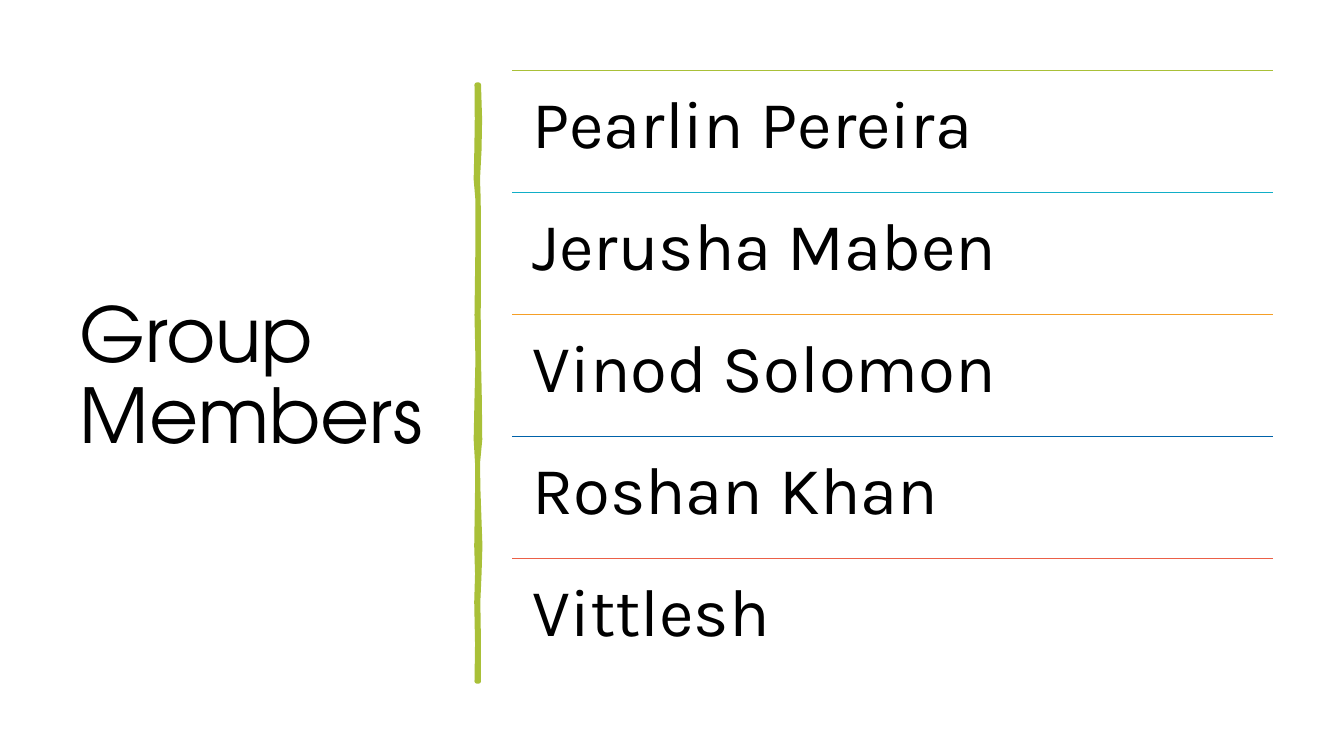
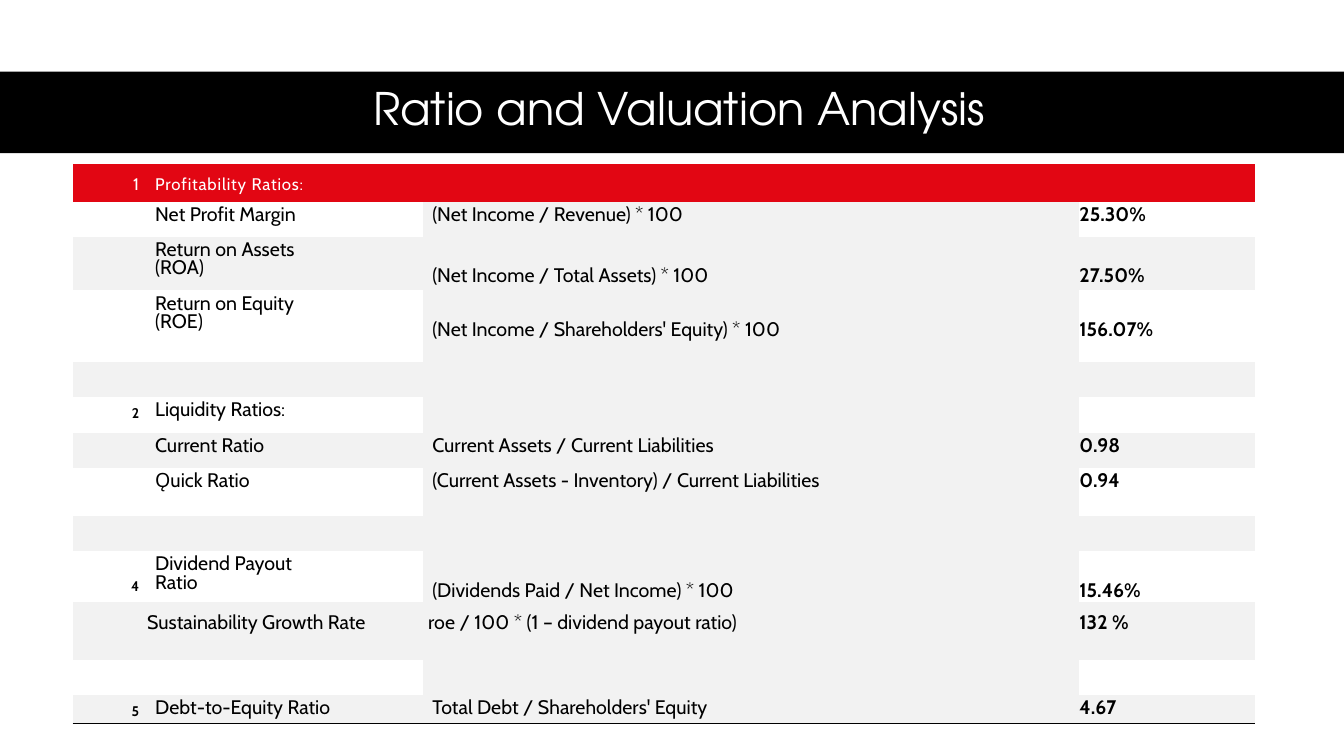
from lxml import etree
from pptx import Presentation
from pptx.dml.color import RGBColor
from pptx.enum import shapes, text
from pptx.oxml import ns
from pptx.util import Pt

COLORS = {
    "black": "000000", "white": "FFFFFF", "green": "A9C038", "teal": "11AEC7",
    "orange": "F59F26", "blue": "0062A9", "coral": "EB6047",
    "red": "E20613", "grey": "F2F2F2",
}
TITLE_FONT, NAME_FONT, TABLE_FONT = "TeX Gyre Adventor", "Karla", "Cabin"
NO_GRID_STYLE = "{2D5ABB26-0587-4C30-8999-92F81FD0307C}"

MEMBERS = [
    ("Pearlin Pereira", "green"),
    ("Jerusha Maben", "teal"),
    ("Vinod Solomon", "orange"),
    ("Roshan Khan", "blue"),
    ("Vittlesh", "coral"),
]
LIST_LEFT, LIST_TOP, LIST_WIDTH, LIST_PITCH = 365.8, 50.4, 543.6, 87.1

BRUSH_EDGES = [
    (60.5, 340.6, 342), (85, 340.8, 342.8), (107, 340.5, 342.4),
    (128, 340, 341.3), (143, 341.3, 341.8), (180, 341.2, 342),
    (225, 340.6, 341.8), (257, 341.3, 342), (285, 340.6, 342.6),
    (314, 340, 342.9), (331, 341, 341.3), (350, 341, 341.6),
    (390, 340.4, 343), (410, 341, 342.4), (430, 340.4, 341.5),
    (460, 341, 342), (486.7, 340.6, 342),
]

BLANK = ("", "", "", "")
RATIOS = [
    (26.6, ("1", "Profitability Ratios:", "", "")),
    (24.3, ("", "Net Profit Margin", "(Net Income / Revenue) * 100", "25.30%")),
    (36.4, ("", "Return on Assets\n(ROA)", "(Net Income / Total Assets) * 100", "27.50%")),
    (51.4, ("", "Return on Equity\n(ROE)", "(Net Income / Shareholders' Equity) * 100", "156.07%")),
    (24.3, BLANK),
    (24.3, ("2", "Liquidity Ratios:", "", "")),
    (24.3, ("", "Current Ratio", "Current Assets / Current Liabilities", "0.98")),
    (34.3, ("", "Ǫuick Ratio", "(Current Assets - Inventory) / Current Liabilities", "0.94")),
    (24.3, BLANK),
    (36.4, ("4", "Dividend Payout\nRatio", "(Dividends Paid / Net Income) * 100", "15.46%")),
    (41.4, ("", "Sustainability Growth Rate", "roe / 100 * (1 – dividend payout ratio)", "132 %")),
    (24.3, BLANK),
    (20, ("5", "Debt-to-Equity Ratio", "Total Debt / Shareholders' Equity", "4.67")),
    (24.3, BLANK),
]
COLUMN_WIDTHS = [52.6, 198, 468, 126]
GROWTH_ROW, TOTAL_ROW = 10, 12


def rgb(name):
    return RGBColor.from_string(COLORS[name])


def write(tf, content, size, font, color="black", bold=False, align="left",
          leading=(0.9,), spacing=0):
    tf.word_wrap = True
    for i, line in enumerate(content.split("\n")):
        p = tf.paragraphs[0] if i == 0 else tf.add_paragraph()
        p.alignment = getattr(text.PP_ALIGN, align.upper())
        step = leading[min(i, len(leading) - 1)]
        p.line_spacing = step if step < 2 else Pt(step)
        p.space_before = Pt(0)
        r = p.add_run()
        r.text = line
        r.font.size, r.font.name, r.font.bold = Pt(size), font, bold
        r.font.color.rgb = rgb(color)
        if spacing:
            r.font._element.set("spc", str(round(spacing * 100)))


def set_title(s, content, left, top, width, height, size, **fmt):
    sp = s.shapes.title
    sp.left, sp.top, sp.width, sp.height = map(Pt, (left, top, width, height))
    tf = sp.text_frame
    tf.auto_size = text.MSO_AUTO_SIZE.NONE
    tf.vertical_anchor = text.MSO_ANCHOR.MIDDLE
    write(tf, content, size, TITLE_FONT, **fmt)


def paint(sp, color):
    sp.shadow.inherit = False
    sp.fill.solid()
    sp.fill.fore_color.rgb = rgb(color)
    sp.line.color.rgb = rgb(color)


def add_rule(s, x, y, width, color):
    line = s.shapes.add_connector(
        shapes.MSO_CONNECTOR.STRAIGHT, Pt(x), Pt(y), Pt(x + width), Pt(y))
    line.line.color.rgb = rgb(color)
    line.line.width = Pt(1)
    etree.SubElement(line._element.spPr, ns.qn("a:effectLst"))


def add_brush_stroke(s):
    right = [(x, y) for y, _, x in BRUSH_EDGES]
    left = [(x, y) for y, x, _ in reversed(BRUSH_EDGES)]
    points = [(Pt(x), Pt(y)) for x, y in right + left]
    builder = s.shapes.build_freeform(*points[0], scale=1.0)
    builder.add_line_segments(points[1:], close=True)
    sp = builder.convert_to_shape()
    paint(sp, "green")
    sp.line.width = Pt(3.25)
    etree.SubElement(sp.line._get_or_add_ln(), ns.qn("a:round"))


def add_bottom_border(cell, color, width):
    ln = etree.Element(ns.qn("a:lnB"), w=str(Pt(width)))
    fill = etree.SubElement(ln, ns.qn("a:solidFill"))
    etree.SubElement(fill, ns.qn("a:srgbClr"), val=COLORS[color])
    cell._tc.get_or_add_tcPr().insert(0, ln)


def fill_cell(cell, row, col):
    content = RATIOS[row][1][col]
    header, last = row == 0, row == len(RATIOS) - 1
    two_line = "\n" in RATIOS[row][1][1]
    if header:
        shade = "red"
    elif not last and (row % 2 == 0 or col == 2):
        shade = "grey"
    else:
        shade = None
    if shade:
        cell.fill.solid()
        cell.fill.fore_color.rgb = rgb(shade)
    else:
        cell.fill.background()

    size = 12 if header else 10 if col == 0 else 14
    lowered = two_line and col != 1
    left = 6.5 if col in (1, 2) else 0.7
    leading = (12.4,)
    if row == GROWTH_ROW:
        leading, left = (1.07,), 3.5 if col == 2 else 0.7
    elif two_line:
        leading = (12.6, 13.1) if col == 1 else (13.1,)
    cell.margin_left, cell.margin_bottom = Pt(left), Pt(0)
    cell.margin_right = Pt(5 if col == 0 else 0.7)
    cell.margin_top = Pt(5 + (1.3 * size if lowered else 0))
    cell.vertical_anchor = text.MSO_ANCHOR.MIDDLE if header else text.MSO_ANCHOR.TOP
    write(cell.text_frame, content, size, TABLE_FONT,
          color="white" if header else "black",
          bold=not header and col in (0, 3),
          align="right" if col == 0 else "left",
          leading=leading, spacing=0.6 if header else 0)
    if row == TOTAL_ROW:
        add_bottom_border(cell, "black", 0.75)


def build_members(s):
    set_title(s, "Group Members", 49.7, 50.4, 269.3, 440, 54)
    add_brush_stroke(s)
    for i, (name, color) in enumerate(MEMBERS):
        y = LIST_TOP + i * LIST_PITCH
        add_rule(s, LIST_LEFT, y, LIST_WIDTH, color)
        tf = s.shapes.add_textbox(
            Pt(LIST_LEFT), Pt(y), Pt(LIST_WIDTH), Pt(LIST_PITCH)).text_frame
        tf.margin_left = tf.margin_top = tf.margin_right = tf.margin_bottom = Pt(14.4)
        write(tf, name, 48, NAME_FONT)


def build_ratios(s):
    band = s.shapes.add_shape(
        shapes.MSO_SHAPE.RECTANGLE, Pt(0), Pt(51.1), Pt(960), Pt(58.3))
    paint(band, "black")
    band.line.fill.background()
    s.shapes.title._element.addprevious(band._element)
    set_title(s, "Ratio and Valuation Analysis", 43.9, 50.4, 882.7, 58.3, 32,
              color="white", align="center")
    heights = [height for height, _ in RATIOS]
    table = s.shapes.add_table(
        len(RATIOS), len(COLUMN_WIDTHS), Pt(51.8), Pt(117.4),
        Pt(sum(COLUMN_WIDTHS)), Pt(sum(heights))).table
    table.first_row = table.horz_banding = False
    table._tbl.tblPr.find(ns.qn("a:tableStyleId")).text = NO_GRID_STYLE
    for column, width in zip(table.columns, COLUMN_WIDTHS):
        column.width = Pt(width)
    for row, height in enumerate(heights):
        table.rows[row].height = Pt(height)
        for col in range(len(COLUMN_WIDTHS)):
            fill_cell(table.cell(row, col), row, col)


def main():
    prs = Presentation()
    prs.slide_width, prs.slide_height = Pt(960), Pt(540)
    for build in (build_members, build_ratios):
        build(prs.slides.add_slide(prs.slide_layouts[5]))
    prs.save("out.pptx")


if __name__ == "__main__":
    main()
